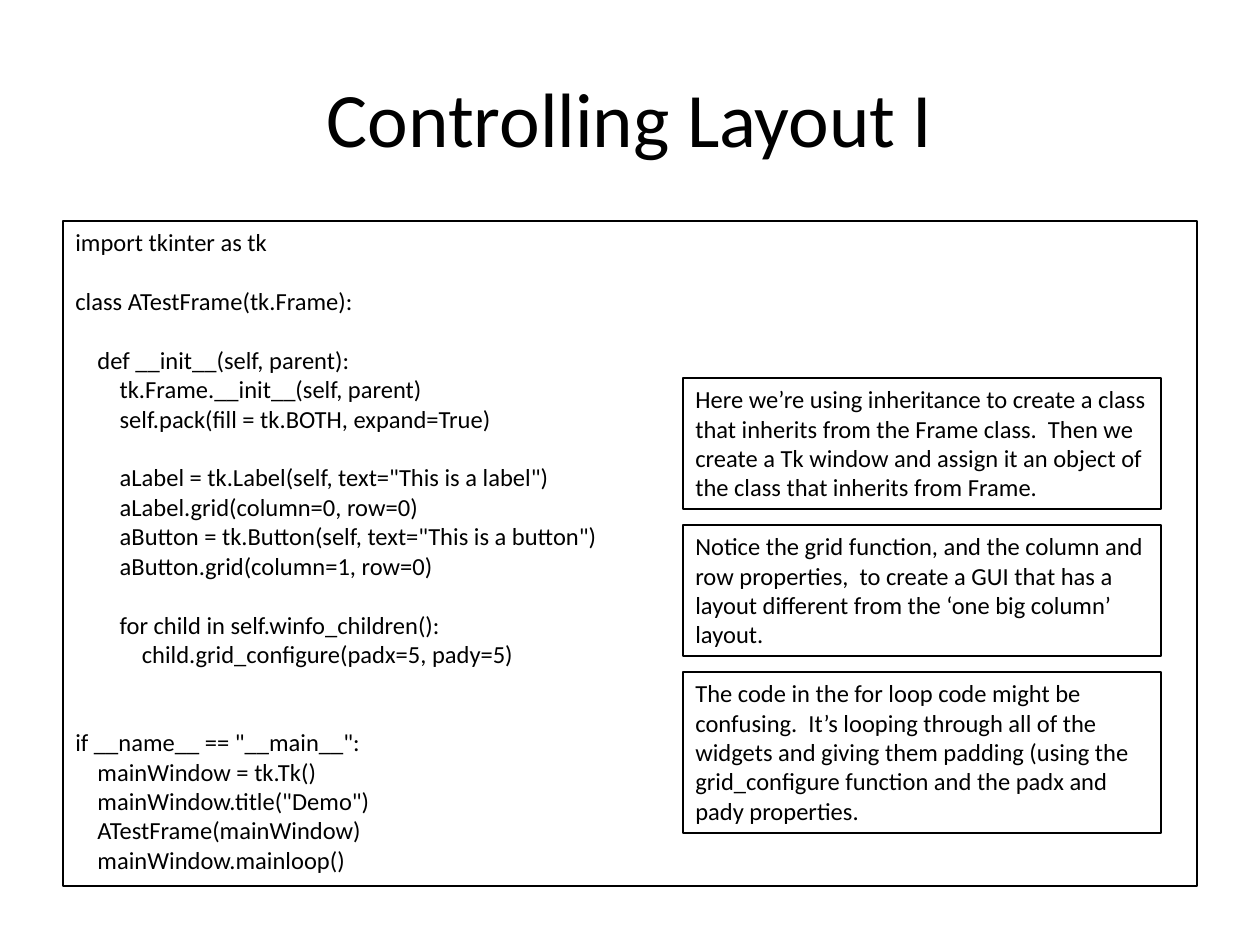
"""Build the "Controlling Layout I" slide: a code listing with three explanatory notes."""
from pptx import Presentation
from pptx.dml.color import RGBColor
from pptx.enum.text import MSO_ANCHOR, PP_ALIGN
from pptx.util import Pt

CENTER, LEFT = PP_ALIGN.CENTER, PP_ALIGN.LEFT
MIDDLE, TOP = MSO_ANCHOR.MIDDLE, MSO_ANCHOR.TOP
BLACK = RGBColor(0, 0, 0)
WHITE = RGBColor(255, 255, 255)
FONT = "Calibri"
TITLE_SIZE, TEXT_SIZE, CODE_LINE = 44, 14, 16.8
PX = 914400 / 126

TITLE = "Controlling Layout I"
CODE_BLOCKS = [
    (0, ["import tkinter as tk"]),
    (1, ["class ATestFrame(tk.Frame):"]),
    (1, [
        "    def __init__(self, parent):",
        "        tk.Frame.__init__(self, parent)",
        "        self.pack(fill = tk.BOTH, expand=True)",
    ]),
    (1, [
        '        aLabel = tk.Label(self, text="This is a label")',
        "        aLabel.grid(column=0, row=0)",
        '        aButton = tk.Button(self, text="This is a button")',
        "        aButton.grid(column=1, row=0)",
    ]),
    (1, [
        "        for child in self.winfo_children():",
        "            child.grid_configure(padx=5, pady=5)",
    ]),
    (2, [
        'if __name__ == "__main__":',
        "    mainWindow = tk.Tk()",
        '    mainWindow.title("Demo")',
        "    ATestFrame(mainWindow)",
        "    mainWindow.mainloop()",
    ]),
]
NOTES = [
    (131, "Here we’re using inheritance to create a class that inherits from the Frame class.  "
          "Then we create a Tk window and assign it an object of the class that inherits from Frame."),
    (131, "Notice the grid function, and the column and row properties,  to create a GUI that has "
          "a layout different from the ‘one big column’ layout."),
    (161, "The code in the for loop code might be confusing.  It’s looping through all of the "
          "widgets and giving them padding (using the grid_configure function and the padx and "
          "pady properties."),
]
TITLE_AREA = (63, 38, 1134, 158)
CODE_AREA = (63, 221, 1134, 665)
NOTE_LEFT, NOTE_TOP, NOTE_WIDTH, NOTE_GAP = 683, 378, 478, 16


def px(length):
    return round(length * PX)


def write(paragraph, text, size, align=LEFT):
    paragraph.alignment = align
    run = paragraph.add_run()
    run.text = text
    run.font.name = FONT
    run.font.size = Pt(size)
    run.font.color.rgb = BLACK


def add_panel(slide, area):
    panel = slide.shapes.add_textbox(*map(px, area))
    panel.line.color.rgb = BLACK
    panel.line.width = Pt(0.75)
    panel.text_frame.word_wrap = True
    panel.text_frame.vertical_anchor = TOP
    return panel


def add_title(slide):
    title = slide.shapes.title
    title.left, title.top, title.width, title.height = map(px, TITLE_AREA)
    title.text_frame.vertical_anchor = MIDDLE
    write(title.text_frame.paragraphs[0], TITLE, TITLE_SIZE, CENTER)


def add_code(slide):
    frame = add_panel(slide, CODE_AREA).text_frame
    paragraph = frame.paragraphs[0]
    for blank_lines, lines in CODE_BLOCKS:
        for index, line in enumerate(lines):
            if blank_lines or index:
                paragraph = frame.add_paragraph()
            if blank_lines and index == 0:
                paragraph.space_before = Pt(blank_lines * CODE_LINE)
            write(paragraph, line, TEXT_SIZE)


def add_notes(slide):
    top = NOTE_TOP
    for height, text in NOTES:
        note = add_panel(slide, (NOTE_LEFT, top, NOTE_WIDTH, height))
        note.fill.solid()
        note.fill.fore_color.rgb = WHITE
        write(note.text_frame.paragraphs[0], text, TEXT_SIZE)
        top += height + NOTE_GAP


def main():
    presentation = Presentation()
    presentation.slide_width, presentation.slide_height = px(1260), px(945)
    slide = presentation.slides.add_slide(presentation.slide_layouts[5])
    add_title(slide)
    add_code(slide)
    add_notes(slide)
    presentation.save("out.pptx")


if __name__ == "__main__":
    main()
